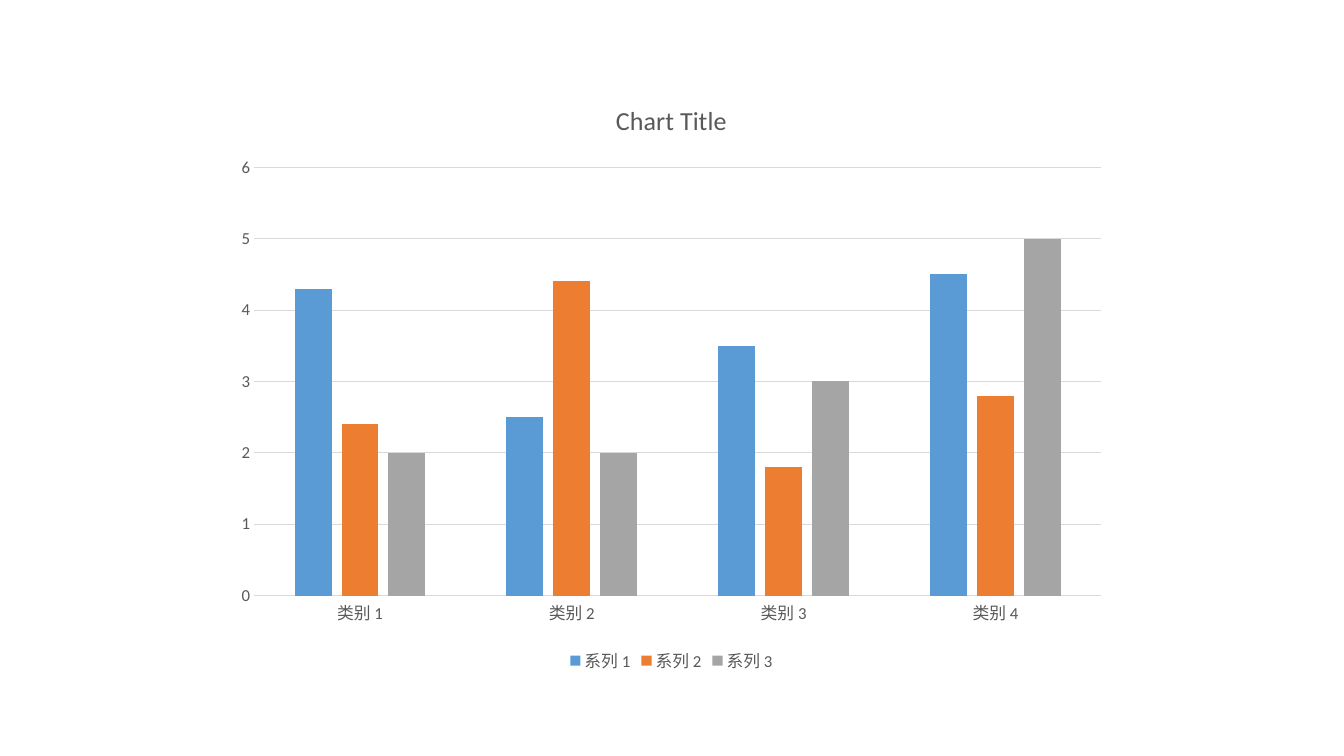
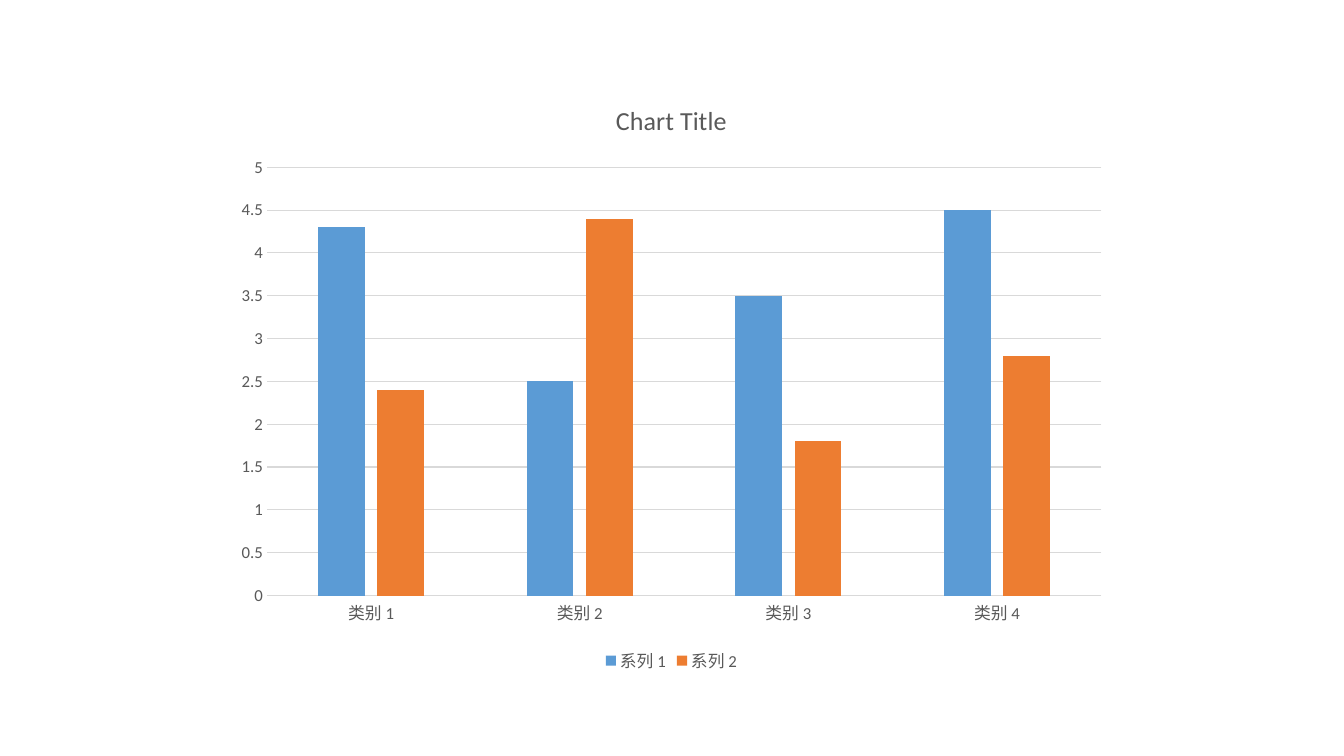
from dataclasses import dataclass

from pptx import Presentation
from pptx import util as u
from pptx.chart.chart import Chart
from pptx.chart.data import CategoryChartData
from pptx.dml.color import RGBColor
from pptx.enum import chart as charts
from pptx.slide import Slide
from pptx.text.text import Font

# Shared style
EMU_PER_PX = 9525
FONT = "Calibri"
TEXT_COLOR = "595959"
LINE_COLOR = "D9D9D9"
TITLE_SIZE = 18.6
LABEL_SIZE = 12
BLANK_LAYOUT = 6


@dataclass(frozen=True)
class Box:
    left: int
    top: int
    width: int
    height: int


@dataclass(frozen=True)
class Series:
    name: str
    values: tuple[float, ...]
    color: str


CHART_BOX = Box(213, 76, 853, 569)
CATEGORIES = [f"类别 {number}" for number in range(1, 5)]
SERIES = (
    Series("系列 1", (4.3, 2.5, 3.5, 4.5), "5B9BD5"),
    Series("系列 2", (2.4, 4.4, 1.8, 2.8), "ED7D31"),
    Series("系列 3", (2, 2, 3, 5), "A5A5A5"),
)


def px(length: int) -> u.Emu:
    return u.Emu(length * EMU_PER_PX)


def rgb(color: str) -> RGBColor:
    return RGBColor.from_string(color)


def style_font(font: Font, size: float, color: str = TEXT_COLOR) -> None:
    font.name = FONT
    font.size = u.Pt(size)
    font.bold = False
    font.color.rgb = rgb(color)


def style_title(chart: Chart) -> None:
    chart.has_title = True
    para = chart.chart_title.text_frame.paragraphs[0]
    span = para.add_run()
    span.text = "Chart Title"
    style_font(span.font, TITLE_SIZE)


def style_axes(chart: Chart) -> None:
    for axis in (chart.category_axis, chart.value_axis):
        axis.major_tick_mark = charts.XL_TICK_MARK.NONE
        axis.minor_tick_mark = charts.XL_TICK_MARK.NONE
        style_font(axis.tick_labels.font, LABEL_SIZE)

    chart.value_axis.has_major_gridlines = True
    chart.value_axis.format.line.fill.background()
    for line in (
        chart.category_axis.format.line,
        chart.value_axis.major_gridlines.format.line,
    ):
        line.color.rgb = rgb(LINE_COLOR)
        line.width = u.Pt(0.75)


def style_legend(chart: Chart) -> None:
    chart.has_legend = True
    chart.legend.position = charts.XL_LEGEND_POSITION.BOTTOM
    chart.legend.include_in_layout = False
    style_font(chart.legend.font, LABEL_SIZE)


def add_column_chart(page: Slide, box: Box, series: tuple[Series, ...]) -> None:
    data = CategoryChartData()
    data.categories = CATEGORIES
    for item in series:
        data.add_series(item.name, item.values)

    chart = page.shapes.add_chart(
        charts.XL_CHART_TYPE.COLUMN_CLUSTERED,
        px(box.left), px(box.top), px(box.width), px(box.height),
        data,
    ).chart
    style_font(chart.font, 10, "000000")
    style_title(chart)
    style_axes(chart)
    style_legend(chart)

    # Columns
    plot = chart.plots[0]
    plot.gap_width = 219
    plot.overlap = -27
    plot.vary_by_categories = False
    for column, item in zip(plot.series, series):
        column.format.fill.solid()
        column.format.fill.fore_color.rgb = rgb(item.color)


def main() -> None:
    deck = Presentation()
    deck.slide_width, deck.slide_height = px(1280), px(720)

    # One slide with all three series, one with the first two
    for series in (SERIES, SERIES[:2]):
        page = deck.slides.add_slide(deck.slide_layouts[BLANK_LAYOUT])
        add_column_chart(page, CHART_BOX, series)

    deck.save("out.pptx")


if __name__ == "__main__":
    main()
